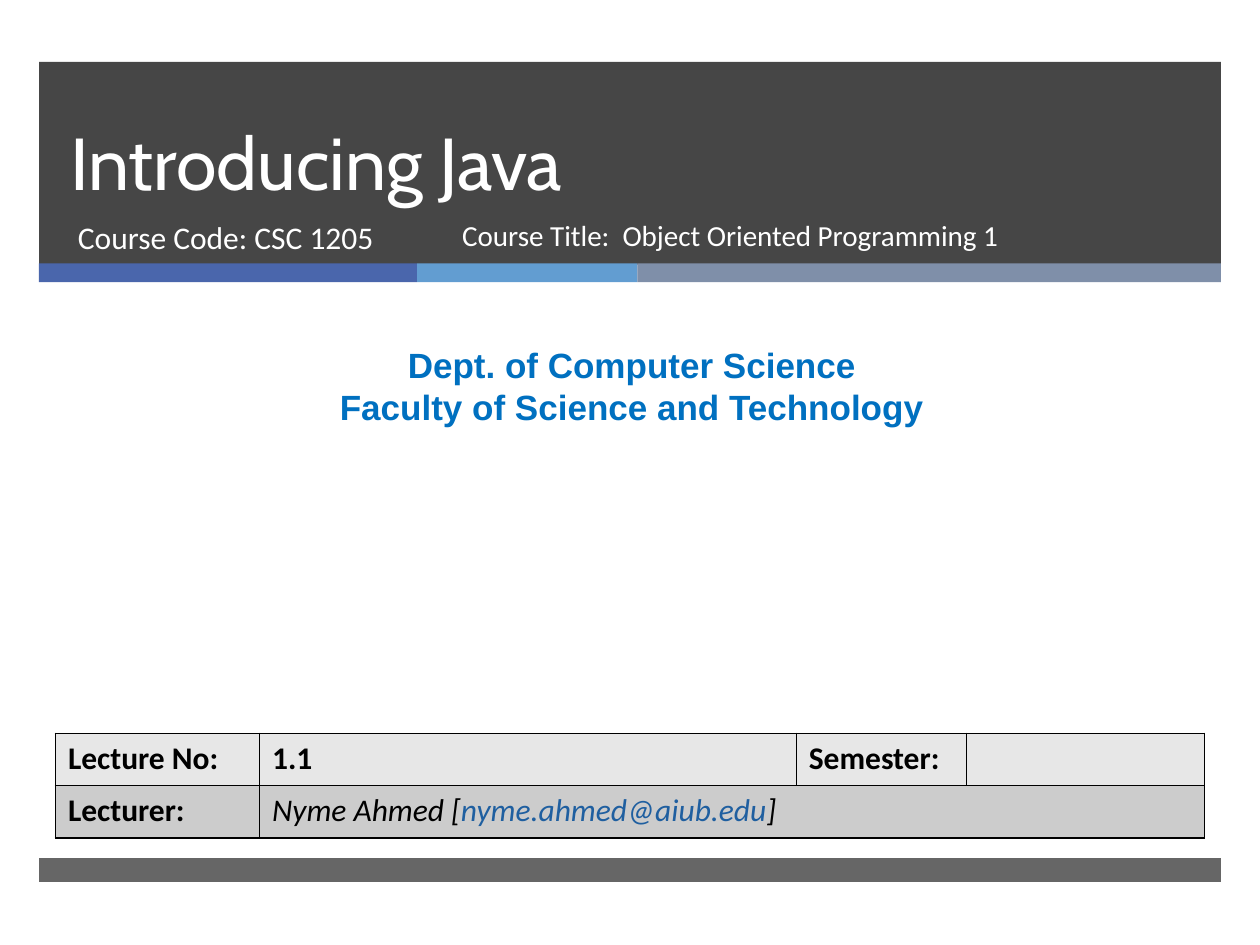
"""Build the title slide of the Introducing Java lecture."""
from lxml.etree import SubElement
from pptx import Presentation
from pptx.dml.color import RGBColor
from pptx.enum.shapes import MSO_SHAPE
from pptx.enum.text import MSO_ANCHOR as ANCHOR, PP_ALIGN as ALIGN
from pptx.oxml.ns import qn
from pptx.util import Inches, Pt


def colour(hex_value):
    return RGBColor.from_string(hex_value)


class SlideBuilder:
    """Holds the style and the current slide."""

    white, black, charcoal = "FFFFFF", "000000", "262626"
    body_font = "Calibri"
    border_width = Pt(1)

    def __init__(self, slide):
        self.slide = slide

    def place(self, box):
        return [Inches(value) for value in box]

    def paint(self, fill, hex_value):
        fill.solid()
        fill.fore_color.rgb = colour(hex_value)

    def bar(self, box, fill, opacity=100):
        shape = self.slide.shapes.add_shape(MSO_SHAPE.RECTANGLE, *self.place(box))
        shape.shadow.inherit = False
        self.paint(shape.fill, fill)
        shape.line.fill.background()
        if opacity < 100:
            tint = shape._element.spPr.find(f"{qn('a:solidFill')}/{qn('a:srgbClr')}")
            SubElement(tint, qn("a:alpha"), val=str(opacity * 1000))

    def add_text_run(self, paragraph, text, hex_value, **formats):
        run = paragraph.add_run()
        run.text = text
        run.font.color.rgb = colour(hex_value)
        for name, value in ({"name": self.body_font, "size": Pt(18)} | formats).items():
            setattr(run.font, name, value)

    def text(self, box, lines, hex_value, anchor=ANCHOR.TOP, layout=None, **formats):
        frame = self.slide.shapes.add_textbox(*self.place(box)).text_frame
        frame.word_wrap = True
        frame.vertical_anchor = anchor
        for index, line in enumerate(lines):
            paragraph = frame.add_paragraph() if index else frame.paragraphs[0]
            for name, value in (layout or {}).items():
                setattr(paragraph, name, value)
            self.add_text_run(paragraph, line, hex_value, **formats)

    def outline(self, cell):
        properties = cell._tc.get_or_add_tcPr()
        for side in "LRTB":
            line = SubElement(properties, qn(f"a:ln{side}"), w=str(self.border_width))
            fill = SubElement(line, qn("a:solidFill"))
            SubElement(fill, qn("a:srgbClr"), val=self.black)

    def table(self, box, widths, row_fills, rows):
        table = self.slide.shapes.add_table(
            len(rows), len(widths), *self.place(box)).table
        for column, width in zip(table.columns, widths):
            column.width = Inches(width)
        for row, fill, contents in zip(table.rows, row_fills, rows):
            for cell, runs in zip(row.cells, contents):
                self.outline(cell)
                self.paint(cell.fill, fill)
                paragraph = cell.text_frame.paragraphs[0]
                for text, hex_value, formats in runs:
                    self.add_text_run(paragraph, text, hex_value, **formats)
        return table


def main():
    presentation = Presentation()
    presentation.slide_width, presentation.slide_height = Inches(10), Inches(7.5)
    builder = SlideBuilder(presentation.slides.add_slide(presentation.slide_layouts[6]))
    white, black = builder.white, builder.black

    left, width = 0.31, 9.38
    builder.bar((left, 0.49, width, 1.61), builder.charcoal, 85)
    stripe_left = left
    for stripe_width, fill in ((3, "4A66AC"), (1.75, "629DD1"), (4.63, "7F8FA9")):
        builder.bar((stripe_left, 2.09, stripe_width, 0.15), fill)
        stripe_left += stripe_width
    builder.bar((left, 6.81, width, 0.19), builder.charcoal, 70)

    builder.text((0.46, 0.49, 8.54, 1.19), ["Introducing Java"], white, ANCHOR.BOTTOM,
                 {"line_spacing": Pt(46)}, name="Cabin", size=Pt(42))
    builder.text((0.52, 1.68, 3.05, 0.53), ["Course Code: CSC 1205"], white)
    builder.text((0.08, 2.68, 9.87, 0.77),
                 ["Dept. of Computer Science", "Faculty of Science and Technology"],
                 "0070C0", layout={"alignment": ALIGN.CENTER},
                 name="Arial", size=Pt(20), bold=True)
    builder.text((3.57, 1.68, 4.61, 0.53),
                 ["Course Title:  Object Oriented Programming 1"], white, size=Pt(16.6))

    bold, italic = {"bold": True}, {"bold": False, "italic": True}
    lecturer = [("Nyme Ahmed [", black, italic),
                ("nyme.ahmed@aiub.edu", "1F5FA0", italic),
                ("]", black, italic)]
    lecture_row = [[(text, black, bold)] for text in ("Lecture No:", "1.1", "Semester:")]
    table = builder.table(
        (0.44, 5.82, 9.12, 0.83), (1.62, 4.26, 1.35, 1.89), ("E7E7E7", "CCCCCC"),
        [lecture_row + [[]], [[("Lecturer:", black, bold)], lecturer, [], []]])
    table.cell(1, 1).merge(table.cell(1, 3))

    presentation.save("out.pptx")


if __name__ == "__main__":
    main()
